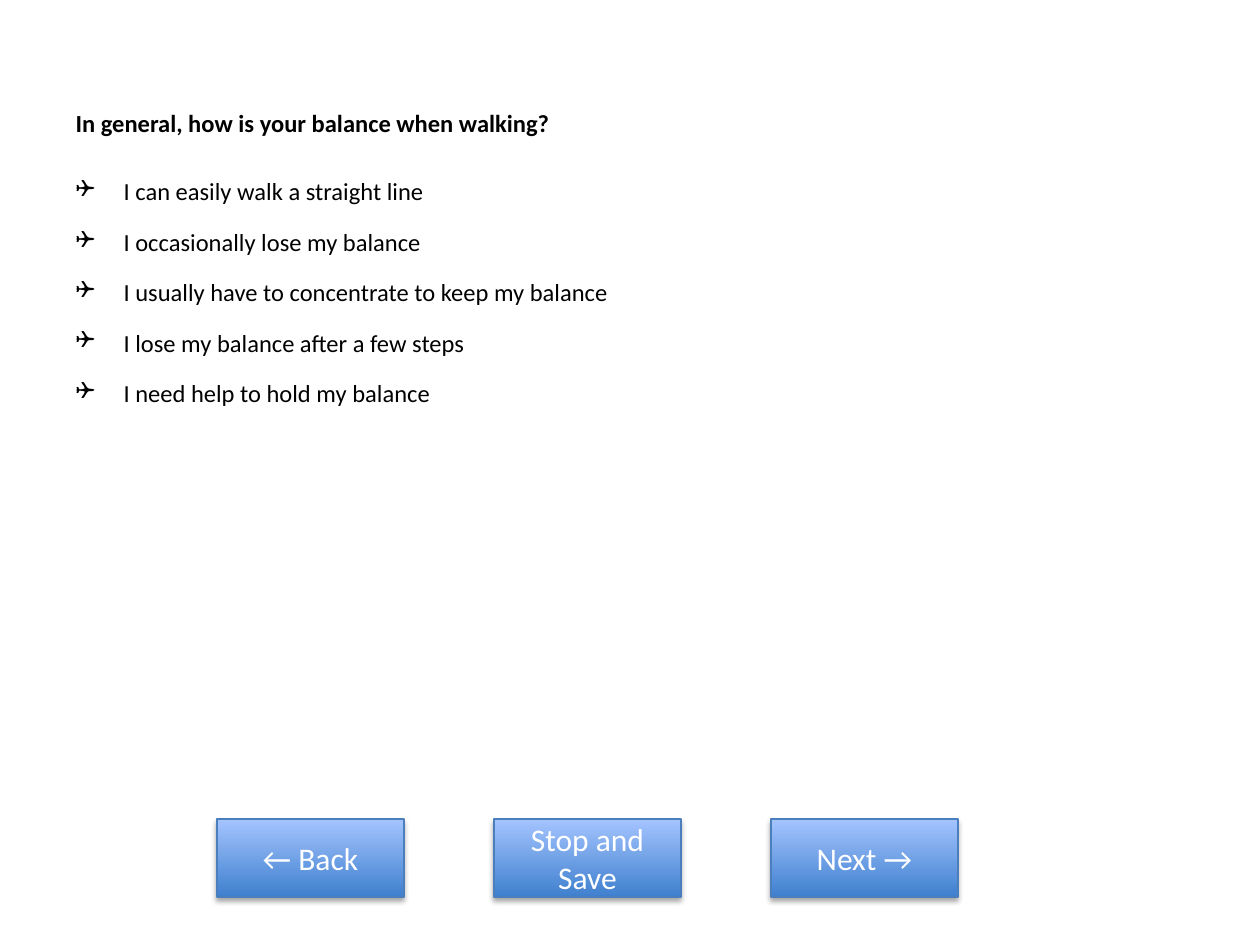
"""Build a questionnaire slide about balance when walking."""
from dataclasses import dataclass

from lxml.etree import SubElement
from pptx import Presentation
from pptx.dml.color import RGBColor
from pptx.enum.shapes import MSO_SHAPE
from pptx.enum.text import MSO_ANCHOR, MSO_AUTO_SIZE, PP_ALIGN
from pptx.oxml.ns import qn
from pptx.util import Pt

QUESTION = "In general, how is your balance when walking?"
ANSWERS = [
    "I can easily walk a straight line",
    "I occasionally lose my balance",
    "I usually have to concentrate to keep my balance",
    "I lose my balance after a few steps",
    "I need help to hold my balance",
]
BUTTONS = ["← Back", "Stop and Save", "Next →"]

SLIDE_SIZE = (1260, 945)
TITLE_AREA = (63, 73, 1134, 158)
TITLE_BOTTOM_MARGIN = 64
ANSWER_AREA = (63, 170, 1134, 624)
ANSWER_INDENT = 48
BUTTON_LEFT, BUTTON_TOP, BUTTON_STEP = 217, 819, 277
BUTTON_SIZE = (187, 78)


@dataclass(frozen=True)
class Theme:
    font: str = "Calibri"
    ink: str = "000000"
    button_text: str = "FFFFFF"
    button_colors: tuple = ("3F80CE", "A4C4FF")
    button_line: str = "4B7EBC"
    text_size: int = 14
    button_size: int = 18
    answer_gap: int = 12


THEME = Theme()


def px(length):
    return round(length * 914400 / 126)


def place(shape, area):
    shape.left, shape.top, shape.width, shape.height = map(px, area)


def style(para, size, color, bold=False):
    for span in para.runs:
        span.font.name = THEME.font
        span.font.size = Pt(size)
        span.font.bold = bold
        span.font.color.rgb = RGBColor.from_string(color)


def add_checkbox(para):
    properties = para._p.get_or_add_pPr()
    properties.set("marL", str(px(ANSWER_INDENT)))
    properties.set("indent", str(-px(ANSWER_INDENT)))
    SubElement(properties, qn("a:buFont"), typeface="Wingdings")
    SubElement(properties, qn("a:buChar"), char="❑")


def add_shadow(shape):
    shape.shadow.inherit = False
    effects = shape._element.spPr.find(qn("a:effectLst"))
    shadow = SubElement(effects, qn("a:outerShdw"), blurRad=str(Pt(3.1)),
                        dist=str(Pt(1.8)), dir="5400000", rotWithShape="0")
    color = SubElement(shadow, qn("a:srgbClr"), val=THEME.ink)
    SubElement(color, qn("a:alpha"), val="35000")


def fill_title(title):
    place(title, TITLE_AREA)
    frame = title.text_frame
    frame.text = QUESTION
    frame.auto_size = MSO_AUTO_SIZE.NONE
    frame.vertical_anchor = MSO_ANCHOR.MIDDLE
    frame.margin_bottom = px(TITLE_BOTTOM_MARGIN)
    para = frame.paragraphs[0]
    para.alignment = PP_ALIGN.LEFT
    style(para, THEME.text_size, THEME.ink, bold=True)


def fill_answers(body):
    place(body, ANSWER_AREA)
    frame = body.text_frame
    frame.text = "\n".join(ANSWERS)
    frame.auto_size = MSO_AUTO_SIZE.NONE
    for index, para in enumerate(frame.paragraphs):
        add_checkbox(para)
        para.space_before = Pt(THEME.answer_gap if index else 0)
        style(para, THEME.text_size, THEME.ink)


def add_button(slide, index, label):
    left = BUTTON_LEFT + index * BUTTON_STEP
    button = slide.shapes.add_shape(
        MSO_SHAPE.RECTANGLE, *map(px, (left, BUTTON_TOP, *BUTTON_SIZE)))
    button.fill.gradient()
    button.fill.gradient_angle = 90
    for stop, color in zip(button.fill.gradient_stops, THEME.button_colors):
        stop.color.rgb = RGBColor.from_string(color)
    button.line.color.rgb = RGBColor.from_string(THEME.button_line)
    button.line.width = Pt(0.75)
    add_shadow(button)
    frame = button.text_frame
    frame.text = label
    frame.word_wrap = True
    frame.vertical_anchor = MSO_ANCHOR.MIDDLE
    para = frame.paragraphs[0]
    para.alignment = PP_ALIGN.CENTER
    style(para, THEME.button_size, THEME.button_text)


def main():
    deck = Presentation()
    deck.slide_width, deck.slide_height = map(px, SLIDE_SIZE)
    slide = deck.slides.add_slide(deck.slide_layouts[1])
    fill_title(slide.shapes.title)
    fill_answers(slide.placeholders[1])
    for index, label in enumerate(BUTTONS):
        add_button(slide, index, label)
    deck.save("out.pptx")


if __name__ == "__main__":
    main()
